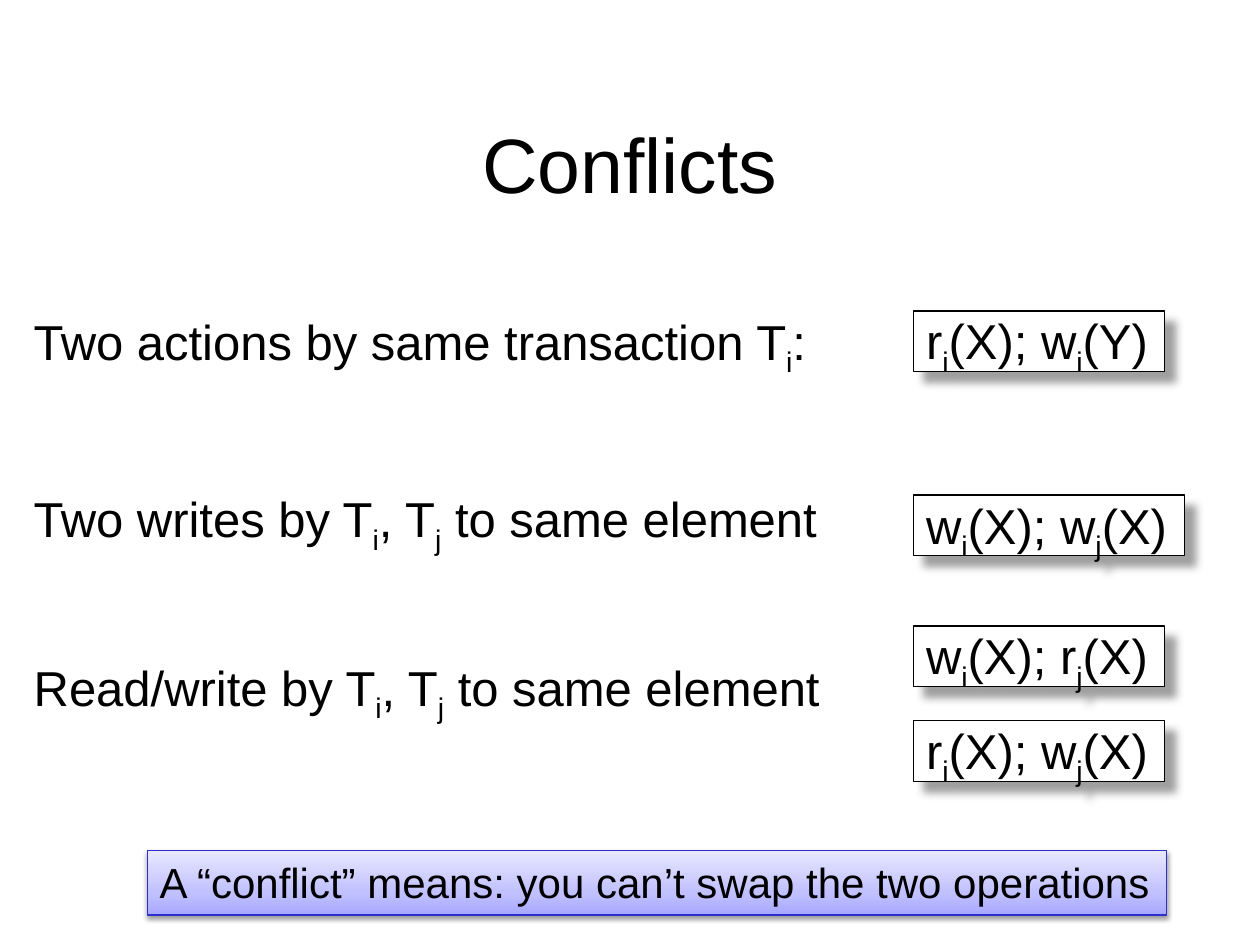
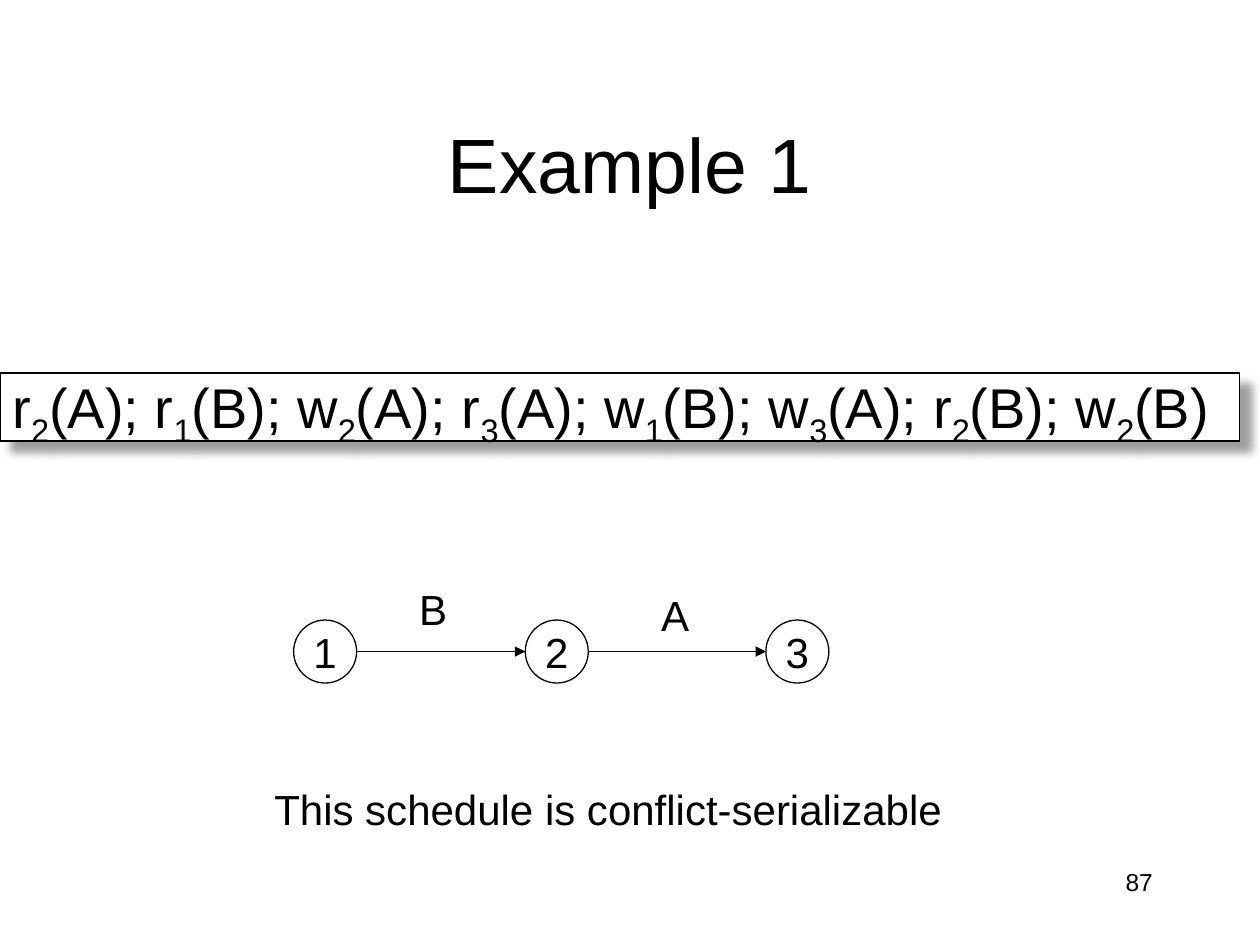
from lxml.etree import SubElement
from pptx import Presentation
from pptx.dml.color import RGBColor
from pptx.enum.shapes import MSO_CONNECTOR, MSO_SHAPE
from pptx.enum.text import MSO_ANCHOR, MSO_AUTO_SIZE, PP_ALIGN
from pptx.oxml.ns import qn
from pptx.util import Cm, Pt

BLACK = RGBColor(0x00, 0x00, 0x00)
WHITE = RGBColor(0xFF, 0xFF, 0xFF)
GREY = RGBColor(0x80, 0x80, 0x80)
BLUE = RGBColor(0x2E, 0x2E, 0xCB)
BANNER_STOPS = [(0, RGBColor(0xA7, 0xA7, 0xFF)),
                (35, RGBColor(0xC1, 0xC1, 0xFF)),
                (100, RGBColor(0xE7, 0xE7, 0xFF))]
FONT = "Arial"

# Content first: an underscore lowers the character that follows it
CONFLICT_KINDS = [
    ("Two actions by same transaction T_i:", 6.15, 16.23),
    ("Two writes by T_i, T_j to same element", 9.73, 16.48),
    ("Read/write by T_i, T_j to same element", 13.13, 16.48),
]
CONFLICT_PAIRS = [
    ("r_i(X); w_i(Y)", 6.27, 5.05),
    ("w_i(X); w_j(X)", 9.98, 5.46),
    ("w_i(X); r_j(X)", 12.62, 5.05),
    ("r_i(X); w_j(X)", 14.53, 5.05),
]
MEANING = "A “conflict” means: you can’t swap the two operations"
SCHEDULE = "r_2(A); r_1(B); w_2(A); r_3(A); w_1(B); w_3(A); r_2(B); w_2(B)"
TRANSACTIONS = {"1": 5.92, "2": 10.59, "3": 15.44}
PRECEDENCES = [("2", "3", "A", 13.08, 11.76), ("1", "2", "B", 8.2, 11.63)]
VERDICT = "This schedule is conflict-serializable"
NODE_TOP, NODE_SIZE = 12.5, 1.27


def write(shape, text, size, align=PP_ALIGN.LEFT, anchor=MSO_ANCHOR.TOP,
          wrap=False, grow=True):
    frame = shape.text_frame
    frame.word_wrap = wrap
    frame.vertical_anchor = anchor
    if grow:
        frame.auto_size = MSO_AUTO_SIZE.SHAPE_TO_FIT_TEXT
    paragraph = frame.paragraphs[0]
    paragraph.alignment = align
    first, *rest = text.split("_")
    pieces = [(first, False)]
    for part in rest:
        pieces += [(part[0], True), (part[1:], False)]
    for piece, lowered in pieces:
        run = paragraph.add_run()
        run.text = piece
        run.font.name, run.font.size = FONT, Pt(size)
        run.font.color.rgb = BLACK
        if lowered:
            run.font._element.set("baseline", "-25000")
    return paragraph


def add_text(shapes, text, box, size, **style):
    return write(shapes.add_textbox(*map(Cm, box)), text, size, **style)


def add_outlined(shapes, kind, box, color=BLACK):
    shape = shapes.add_shape(kind, *map(Cm, box))
    shape.shadow.inherit = False
    shape.line.color.rgb = color
    shape.line.width = Pt(0.75)
    return shape


def add_color(parent, color):
    return SubElement(parent, qn("a:srgbClr"), val=str(color))


def cast_shadow(shape, color, alpha, blur, distance, angle):
    effects = shape.element.spPr.find(qn("a:effectLst"))
    shadow = SubElement(effects, qn("a:outerShdw"), blurRad=str(Pt(blur)),
                        dist=str(Pt(distance)), dir=str(angle * 60000),
                        algn="ctr", rotWithShape="0")
    SubElement(add_color(shadow, color), qn("a:alpha"), val=str(alpha * 1000))


def add_operations(slide, text, box, size):
    shape = add_outlined(slide.shapes, MSO_SHAPE.RECTANGLE, box)
    shape.fill.solid()
    shape.fill.fore_color.rgb = WHITE
    cast_shadow(shape, GREY, 75, 5, 8.5, 45)
    paragraph = write(shape, text, size)
    paragraph.line_spacing = 0.8
    paragraph.space_before = Pt(size * 0.2)


def add_banner(slide, text, box):
    banner = add_outlined(slide.shapes, MSO_SHAPE.RECTANGLE, box, BLUE)
    banner.fill.gradient()
    banner.fill.gradient_angle = 90
    stops = banner.element.spPr.find(qn("a:gradFill")).find(qn("a:gsLst"))
    stops.clear()
    for position, color in BANNER_STOPS:
        add_color(SubElement(stops, qn("a:gs"), pos=str(position * 1000)), color)
    cast_shadow(banner, BLACK, 38, 3.1, 1.6, 90)
    write(banner, text, 24)


def add_arrow(shapes, start, end, y):
    arrow = shapes.add_connector(MSO_CONNECTOR.STRAIGHT, Cm(start), Cm(y), Cm(end), Cm(y))
    arrow.line.color.rgb = BLACK
    arrow.line.width = Pt(0.75)
    properties = arrow.element.spPr
    SubElement(properties.find(qn("a:ln")), qn("a:tailEnd"), type="triangle")
    SubElement(properties, qn("a:effectLst"))


def add_titled_slide(title):
    slide = deck.slides.add_slide(deck.slide_layouts[6])
    add_text(slide.shapes, title, (1.9, 1.7, 21.6, 3.18), 44, align=PP_ALIGN.CENTER,
             anchor=MSO_ANCHOR.MIDDLE, wrap=True, grow=False)
    return slide


deck = Presentation()
deck.slide_width, deck.slide_height = Cm(25.4), Cm(19.05)

conflicts = add_titled_slide("Conflicts")
for text, top, width in CONFLICT_KINDS:
    add_text(conflicts.shapes, text, (0.43, top, width, 1.45), 28)
for text, top, width in CONFLICT_PAIRS:
    add_operations(conflicts, text, (18.42, top, width, 1.22), 28)
add_banner(conflicts, MEANING, (2.97, 17.15, 20.55, 1.3))

example = add_titled_slide("Example 1")
add_operations(example, SCHEDULE, (0, 7.52, 24.99, 1.37), 32)
nodes = example.shapes.add_group_shape()
for name, left in TRANSACTIONS.items():
    node = add_outlined(nodes.shapes, MSO_SHAPE.OVAL, (left, NODE_TOP, NODE_SIZE, NODE_SIZE))
    node.fill.background()
    write(node, name, 24, align=PP_ALIGN.CENTER, anchor=MSO_ANCHOR.MIDDLE, grow=False)
add_text(example.shapes, VERDICT, (5.28, 15.67, 14, 1.27), 24)
for source, target, element, left, top in PRECEDENCES:
    edge = example.shapes.add_group_shape()
    add_arrow(edge.shapes, TRANSACTIONS[source] + NODE_SIZE, TRANSACTIONS[target],
              NODE_TOP + NODE_SIZE / 2)
    add_text(edge.shapes, element, (left, top, 1.07, 1.27), 24)
add_text(example.shapes, "87", (18.21, 17.35, 5.28, 1.27), 14,
         align=PP_ALIGN.RIGHT, wrap=True, grow=False)

deck.save("out.pptx")
